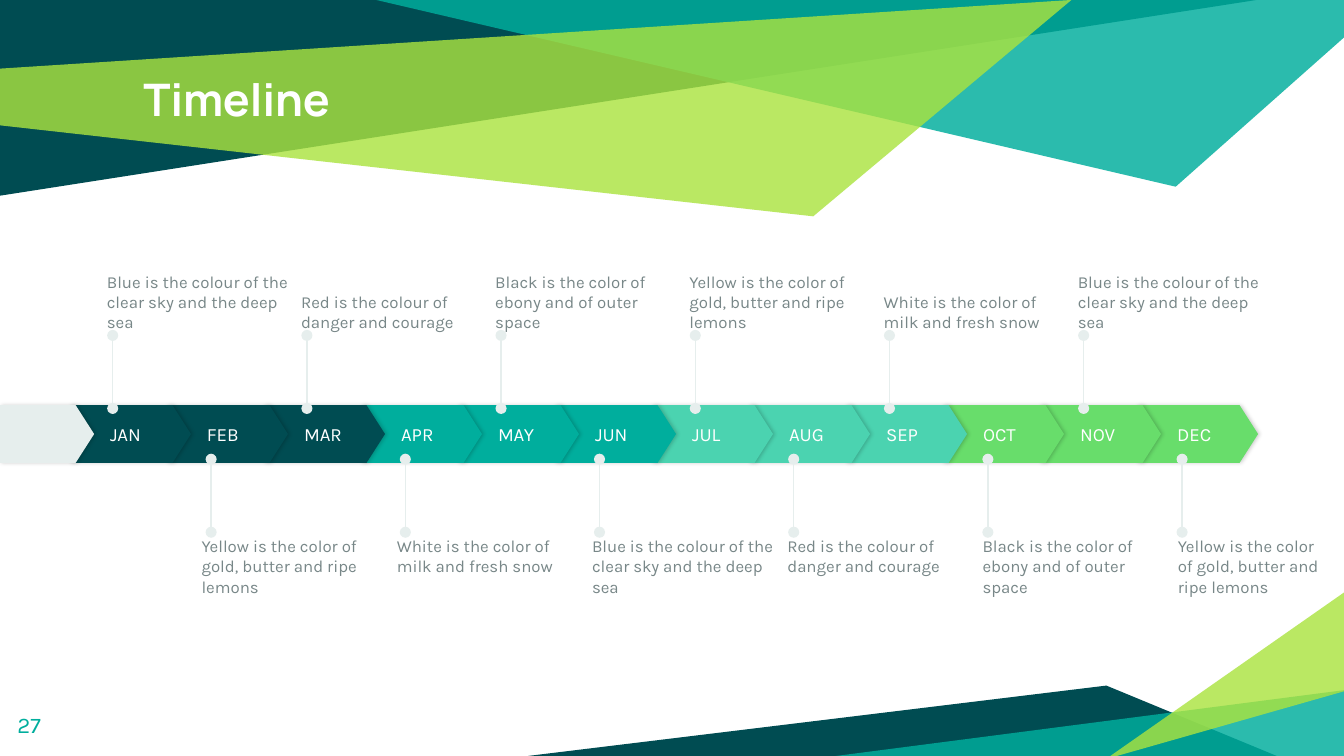
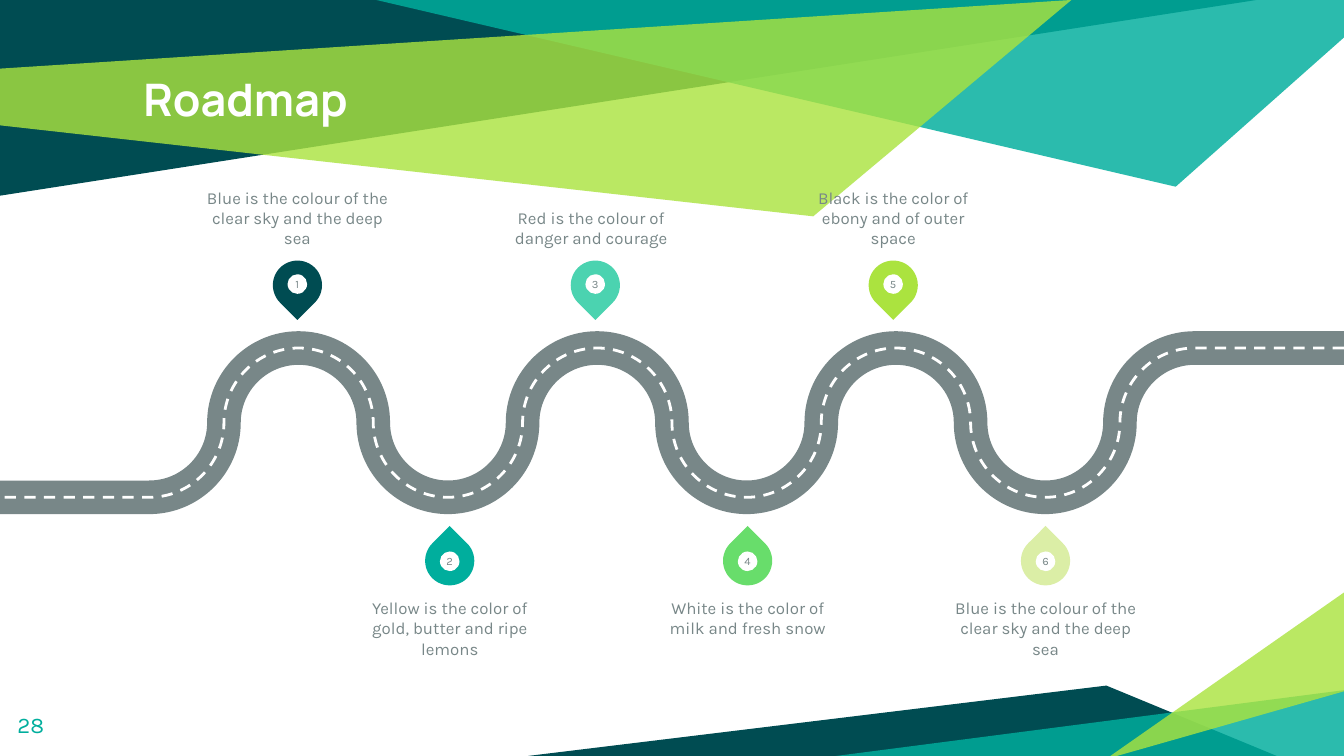
from dataclasses import dataclass

from lxml import etree
from pptx import Presentation
from pptx.dml.color import RGBColor
from pptx.enum.dml import MSO_LINE
from pptx.enum.shapes import MSO_CONNECTOR, MSO_SHAPE
from pptx.enum.text import MSO_ANCHOR, PP_ALIGN
from pptx.oxml.ns import qn
from pptx.shapes.autoshape import Shape
from pptx.shapes.shapetree import GroupShapes
from pptx.slide import Slide
from pptx.util import Cm, Pt

STRAIGHT = MSO_CONNECTOR.STRAIGHT
ARROW, DROP, OVAL = MSO_SHAPE.PENTAGON, MSO_SHAPE.TEAR, MSO_SHAPE.OVAL
TOP, MIDDLE, BOTTOM = MSO_ANCHOR.TOP, MSO_ANCHOR.MIDDLE, MSO_ANCHOR.BOTTOM
LEFT, CENTER = PP_ALIGN.LEFT, PP_ALIGN.CENTER
DASH = MSO_LINE.DASH

WIDTH, HEIGHT = 25.4, 14.29
HEAD, BODY = "Manrope", "Karla"
COLORS = {
    "white": "FFFFFF", "black": "000000", "gray": "788788", "pale": "E6EEED",
    "night": "004C52", "teal": "00AE9D", "mint": "4BD3B0", "green": "68DD6B",
    "lime": "ABE33F", "cream": "DBEEA6",
}
BLUE = "Blue is the colour of the clear sky and the deep sea"
RED = "Red is the colour of danger and courage"
BLACK = "Black is the color of ebony and of outer space"
YELLOW = "Yellow is the color of gold, butter and ripe lemons"
WHITE = "White is the color of milk and fresh snow"

Point = tuple[float, float]


@dataclass(frozen=True)
class Style:
    size: float
    color: str
    font: str = BODY
    bold: bool = False
    align: PP_ALIGN = LEFT


@dataclass(frozen=True)
class Band:
    color: str
    points: tuple[Point, ...]
    alpha: int = 100


@dataclass(frozen=True)
class Row:
    """One side of the month bar, with its pins and notes."""
    pin: float
    start: float
    end: float
    left: float
    step: float
    top: float
    anchor: MSO_ANCHOR
    notes: tuple[str, ...]


@dataclass(frozen=True)
class Side:
    """One side of the road: middles of its first drop and dot, and notes."""
    x: float
    drop: float
    dot: float
    turn: int
    note: float
    anchor: MSO_ANCHOR


@dataclass(frozen=True)
class Stop:
    color: str
    text: str
    nudge: float = 0


TITLE = Style(24, "white", HEAD, True)
FOLIO = Style(12, "teal")
MONTH = Style(10, "white")
NOTE = Style(9, "gray")
LABEL = Style(9, "gray", align=CENTER)
DIGIT = Style(6, "gray", align=CENTER)

BANDS = (
    Band("night", ((0, 0), (0, 3.7), (23.75, 0))),
    Band("teal", ((7.11, 0), (22.22, 3.53), (WIDTH, 0.71), (WIDTH, 0)), 83),
    Band("lime", ((-0.03, 1.3), (0, 2.37), (15.37, 4.09), (20.25, 0)), 81),
    Band("night", ((9.98, HEIGHT), (24.13, HEIGHT), (20.91, 12.96))),
    Band("teal", ((25.45, 13.04), (25.45, 14.35), (15.34, 14.35)), 83),
    Band("lime", ((25.43, 13.06), (25.43, 11.18), (20.9, 14.35)), 81),
)

MONTHS = ("JAN", "FEB", "MAR", "APR", "MAY", "JUN",
          "JUL", "AUG", "SEP", "OCT", "NOV", "DEC")
TERMS = ("night", "teal", "mint", "green")
BAR_TOP, BAR_HIGH = 7.66, 1.09
BAR_STEP = 22 / 12
PIN_STEP = 3.67
ROWS = (
    Row(2.13, 7.72, 6.34, 2.02, 3.67, 4.81, BOTTOM,
        (BLUE, RED, BLACK, YELLOW, WHITE, BLUE)),
    Row(3.99, 10.06, 8.68, 3.81, 3.69, 10.13, TOP,
        (YELLOW, WHITE, BLUE, RED, BLACK, YELLOW)),
)

BEND = WIDTH / 18
BENDS = 8
ROAD_MID = 7.99
ARC = 0.55
STOP_STEP = 5.63
SIDES = (
    Side(5.62, 5.39, 5.37, 135, 3.22, BOTTOM),
    Side(8.5, 10.6, 10.61, 315, 11.3, TOP),
)
STOPS = (
    Stop("night", BLUE), Stop("teal", YELLOW),
    Stop("mint", RED, -0.08), Stop("green", WHITE),
    Stop("lime", BLACK), Stop("cream", BLUE),
)


def rgb(name: str) -> RGBColor:
    return RGBColor.from_string(COLORS[name])


def paint(shape: Shape, color: str, alpha: int = 100) -> None:
    """Give a flat fill with no line and no shadow."""
    shape.shadow.inherit = False
    shape.fill.solid()
    shape.fill.fore_color.rgb = rgb(color)
    shape.line.fill.background()
    if alpha < 100:
        tone = shape.fill._xPr.find(".//" + qn("a:srgbClr"))
        etree.SubElement(tone, qn("a:alpha"), val=str(alpha * 1000))


def write(shape: Shape, text: str, style: Style, anchor: MSO_ANCHOR = TOP,
          inset: float = 0, indent: float = 0) -> None:
    frame = shape.text_frame
    frame.word_wrap = True
    frame.vertical_anchor = anchor
    frame.margin_left = Cm(inset + indent)
    frame.margin_top = frame.margin_right = frame.margin_bottom = Cm(inset)
    line = frame.paragraphs[0]
    line.text = text
    line.alignment = style.align
    font = line.font
    font.name, font.size, font.bold = style.font, Pt(style.size), style.bold
    font.color.rgb = rgb(style.color)


def add_text(slide: Slide, left: float, top: float, width: float, high: float,
             text: str, style: Style, anchor: MSO_ANCHOR = TOP,
             inset: float = 0) -> None:
    box = slide.shapes.add_textbox(Cm(left), Cm(top), Cm(width), Cm(high))
    write(box, text, style, anchor, inset)


def trace(shapes: GroupShapes, points: list[Point] | tuple[Point, ...],
          close: bool) -> Shape:
    """Draw an outline through the points."""
    spots = [(Cm(x), Cm(y)) for x, y in points]
    pen = shapes.build_freeform(*spots[0])
    pen.add_line_segments(spots[1:], close=close)
    return pen.convert_to_shape()


def add_frame(slide: Slide, title: str, page: int) -> None:
    """Draw the bands, the title and the page number."""
    group = slide.shapes.add_group_shape()
    for band in BANDS:
        paint(trace(group.shapes, band.points, True), band.color, band.alpha)
    add_text(slide, 2.46, 1.1, 20.47, 2.39, title, TITLE, inset=0.25)
    add_text(slide, 0.08, 13.2, 1.52, 1.09, str(page), FOLIO, inset=0.25)


def add_arrow(slide: Slide, left: float, width: float, color: str) -> Shape:
    arrow = slide.shapes.add_shape(ARROW, Cm(left), Cm(BAR_TOP), Cm(width),
                                   Cm(BAR_HIGH))
    arrow.adjustments[0] = 0.32
    paint(arrow, color)
    glow = etree.SubElement(
        arrow._element.spPr.find(qn("a:effectLst")), qn("a:outerShdw"),
        blurRad=str(Pt(2.2)), dist=str(Pt(0.8)), dir="0", rotWithShape="0")
    tone = etree.SubElement(glow, qn("a:srgbClr"), val=COLORS["black"])
    etree.SubElement(tone, qn("a:alpha"), val="20000")
    return arrow


def add_pin(slide: Slide, x: float, start: float, end: float) -> None:
    pin = slide.shapes.add_connector(STRAIGHT, Cm(x), Cm(start), Cm(x), Cm(end))
    pin.line.color.rgb = rgb("pale")
    pin.line.width = Pt(0.75)
    edge = pin.line._get_or_add_ln()
    for tag in ("a:headEnd", "a:tailEnd"):
        etree.SubElement(edge, qn(tag), type="oval")
    etree.SubElement(pin._element.spPr, qn("a:effectLst"))


def draw_time(slide: Slide) -> None:
    for i in reversed(range(len(MONTHS))):
        arrow = add_arrow(slide, 1.32 + i * BAR_STEP, 2.29, TERMS[i // 3])
        write(arrow, MONTHS[i], MONTH, MIDDLE, indent=0.76)
    add_arrow(slide, 0, 1.78, "pale")
    for row in ROWS:
        for i, note in enumerate(row.notes):
            add_pin(slide, row.pin + i * PIN_STEP, row.start, row.end)
            left = row.left + i * row.step
            add_text(slide, left, row.top, min(3.48, 25.12 - left), 1.47,
                     note, NOTE, row.anchor)


def road_points() -> list[Point]:
    """Give the ends of the quarter turns, from right to left."""
    points = [(WIDTH, ROAD_MID - BEND)]
    for k in range(BENDS, 0, -1):
        way = 1 if k % 2 else -1
        points.append((2 * BEND * k, ROAD_MID + way * BEND))
        if k > 1:
            points.append((2 * BEND * k - BEND, ROAD_MID))
    return points + [(0, ROAD_MID + BEND)]


def round_off(road: Shape) -> None:
    """Turn each line but the first and last into a quarter turn."""
    lines = list(road._element.iter(qn("a:lnTo")))
    ends = [(int(line[0].get("x")), int(line[0].get("y"))) for line in lines]
    for i in range(1, len(lines) - 1):
        (ax, ay), (bx, by) = ends[i - 1], ends[i]
        dx, dy = round((bx - ax) * ARC), round((by - ay) * ARC)
        if i % 2:
            knots = (ax + dx, ay), (bx, by - dy), (bx, by)
        else:
            knots = (ax, ay + dy), (bx - dx, by), (bx, by)
        curve = etree.Element(qn("a:cubicBezTo"))
        for x, y in knots:
            etree.SubElement(curve, qn("a:pt"), x=str(x), y=str(y))
        lines[i].getparent().replace(lines[i], curve)


def add_road(slide: Slide, color: str, width: float) -> Shape:
    road = trace(slide.shapes, road_points(), False)
    round_off(road)
    road.shadow.inherit = False
    road.fill.background()
    road.line.color.rgb = rgb(color)
    road.line.width = Pt(width)
    return road


def add_stop(slide: Slide, count: int, stop: Stop) -> None:
    side = SIDES[count % 2]
    x = side.x + count // 2 * STOP_STEP
    group = slide.shapes.add_group_shape()

    def place(kind: MSO_SHAPE, y: float, size: float, color: str) -> Shape:
        part = group.shapes.add_shape(kind, Cm(x - size / 2), Cm(y - size / 2),
                                      Cm(size), Cm(size))
        paint(part, color)
        return part

    drop = place(DROP, side.drop, 0.93, stop.color)
    drop.adjustments[0] = 1
    drop.rotation = side.turn
    write(place(OVAL, side.dot, 0.37, "white"), str(count + 1), DIGIT, MIDDLE)
    add_text(slide, x - 1.79 + stop.nudge, side.note, 3.58, 1.47,
             stop.text, LABEL, side.anchor)


def draw_road(slide: Slide) -> None:
    add_road(slide, "gray", 18)
    add_road(slide, "white", 1.5).line.dash_style = DASH
    for count, stop in enumerate(STOPS):
        add_stop(slide, count, stop)


def main() -> None:
    deck = Presentation()
    deck.slide_width, deck.slide_height = Cm(WIDTH), Cm(HEIGHT)
    pages = (("Timeline", draw_time), ("Roadmap", draw_road))
    for page, (title, draw) in enumerate(pages, 27):
        slide = deck.slides.add_slide(deck.slide_layouts[6])
        add_frame(slide, title, page)
        draw(slide)
    deck.save("out.pptx")


if __name__ == "__main__":
    main()
